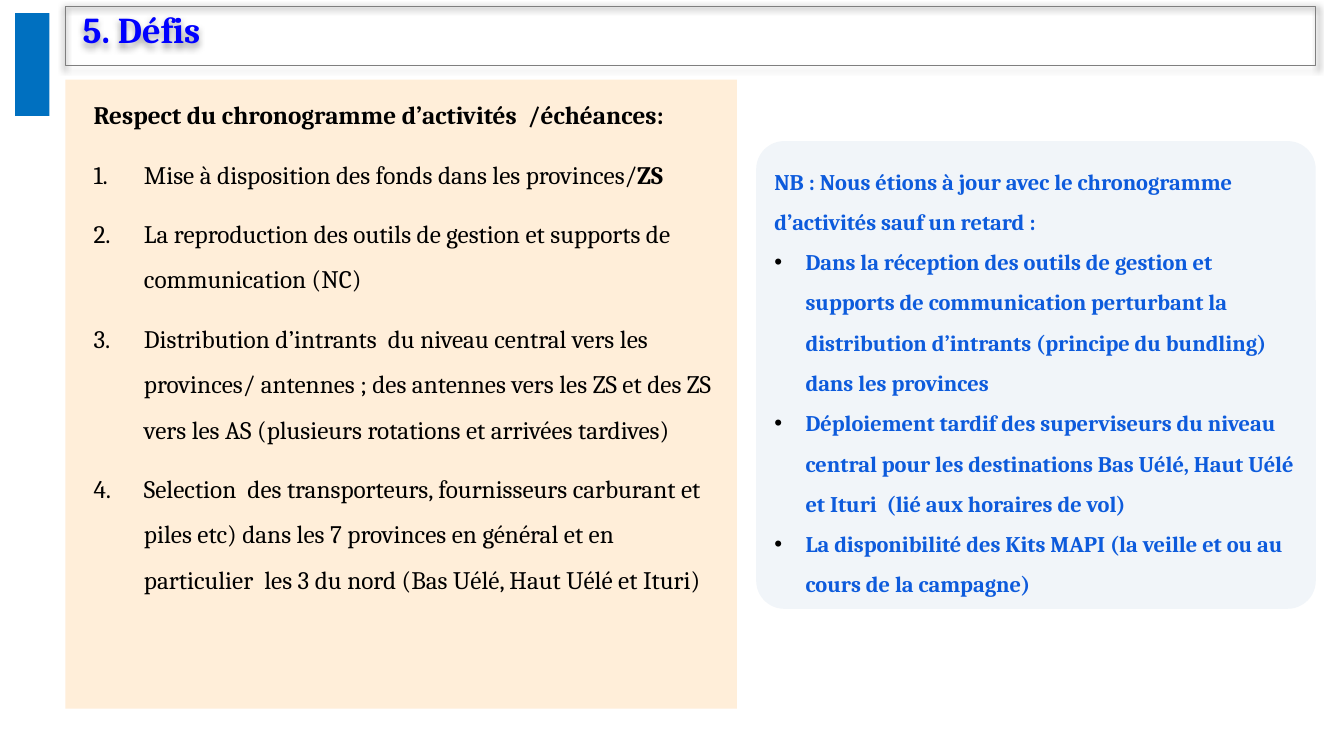
from lxml import etree
from pptx import Presentation
from pptx.dml.color import RGBColor
from pptx.enum.shapes import MSO_SHAPE
from pptx.enum.text import MSO_ANCHOR, PP_ALIGN
from pptx.oxml.ns import qn
from pptx.util import Pt

PX = 9144
RECT, ROUND = MSO_SHAPE.RECTANGLE, MSO_SHAPE.ROUNDED_RECTANGLE
TOP, MID, LEFT = MSO_ANCHOR.TOP, MSO_ANCHOR.MIDDLE, PP_ALIGN.LEFT

BLACK = RGBColor(0x00, 0x00, 0x00)
GREY = RGBColor(0x7F, 0x7F, 0x7F)
TITLE = RGBColor(0x00, 0x00, 0xFF)
BAR = RGBColor(0x00, 0x70, 0xC0)
CREAM = RGBColor(0xFF, 0xEE, 0xD9)
PALE = RGBColor(0xF1, 0xF5, 0xF9)
NOTE = RGBColor(0x0D, 0x5B, 0xDC)

NUMBER = ("buAutoNum", {"type": "arabicPeriod"})
DOT = ("buChar", {"char": "•"})

HEAD = "Respect du chronogramme d’activités  /échéances:"
TASKS = [
    [("Mise à disposition des fonds dans les provinces/", False), ("ZS", True)],
    [("La reproduction des outils de gestion et supports de communication (NC)", False)],
    [("Distribution d’intrants  du niveau central vers les provinces/ antennes ; "
      "des antennes vers les ZS et des ZS vers les AS "
      "(plusieurs rotations et arrivées tardives)", False)],
    [("Selection  des transporteurs, fournisseurs carburant et piles etc) "
      "dans les 7 provinces en général et en particulier  les 3 du nord "
      "(Bas Uélé, Haut Uélé et Ituri)", False)],
]
LEAD = "NB : Nous étions à jour avec le chronogramme d’activités sauf un retard :"
DELAYS = [
    "Dans la réception des outils de gestion et supports de communication "
    "perturbant la distribution d’intrants (principe du bundling) dans les provinces",
    "Déploiement tardif des superviseurs du niveau central pour les destinations "
    "Bas Uélé, Haut Uélé et Ituri  (lié aux horaires de vol)",
    "La disponibilité des Kits MAPI (la veille et ou au cours de la campagne)",
]


def put(target, values):
    """Set each named attribute on the target."""
    for name, value in values.items():
        setattr(target, name, value)


def add_node(parent, tag, values):
    """Append a drawing element with its attributes."""
    node = etree.SubElement(parent, qn("a:" + tag))
    for name, value in values.items():
        node.set(name, str(value))
    return node


def add_panel(slide, kind, box, fill=None, line=None):
    """Add a flat shape with an optional fill and outline."""
    panel = slide.shapes.add_shape(kind, *(side * PX for side in box))
    panel.shadow.inherit = False
    if fill is None:
        panel.fill.background()
    else:
        panel.fill.solid()
        panel.fill.fore_color.rgb = fill
    if line is None:
        panel.line.fill.background()
    else:
        panel.line.color.rgb = line
        panel.line.width = Pt(0.75)
    put(panel.text_frame, {"word_wrap": True, "vertical_anchor": TOP})
    return panel


def add_shadow(panel):
    """Give the panel a soft shadow falling downward."""
    effects = panel.element.spPr.find(qn("a:effectLst"))
    shadow = add_node(effects, "outerShdw", {
        "blurRad": Pt(5), "dist": Pt(1.6), "dir": 5400000,
        "algn": "t", "rotWithShape": 0})
    color = add_node(shadow, "srgbClr", {"val": BLACK})
    add_node(color, "alpha", {"val": 38000})


def add_text(frame, runs, size, color, space=1.5, gap=0, indent=(0, 0), mark=None):
    """Write one paragraph, with its list mark if any."""
    first = not frame.text
    para = frame.paragraphs[0] if first else frame.add_paragraph()
    props = para._p.get_or_add_pPr()
    left, hang = indent
    props.set("marL", str(left * PX))
    props.set("indent", str(hang * PX))
    if mark:
        add_node(add_node(props, "buClr", {}), "srgbClr", {"val": BLACK})
        if mark is DOT:
            add_node(props, "buFont", {"typeface": "Arial"})
        add_node(props, *mark)
    put(para, {"alignment": LEFT, "line_spacing": space,
               "space_before": Pt(0 if first else gap)})
    for text, bold in runs:
        run = para.add_run()
        run.text = text
        put(run.font, {"name": "Cambria", "size": Pt(size), "bold": bold})
        run.font.color.rgb = color


def add_title(slide):
    """Add the framed title and the bar beside it."""
    frame = add_panel(slide, RECT, (65, 6, 1240, 59), line=GREY)
    add_shadow(frame)
    put(frame.text_frame, {"vertical_anchor": MID, "margin_left": 17 * PX,
                           "margin_bottom": 11 * PX})
    add_text(frame.text_frame, [("5. Défis", True)], 26, TITLE, space=0.85)
    add_panel(slide, RECT, (15, 13, 34, 102), BAR)


def add_tasks(slide):
    """Add the numbered list of challenges."""
    frame = add_panel(slide, RECT, (65, 79, 666, 624), CREAM).text_frame
    add_text(frame, [(HEAD, True)], 18, BLACK, indent=(18, 0))
    for runs in TASKS:
        add_text(frame, runs, 18, BLACK, gap=10, indent=(68, -50), mark=NUMBER)


def add_note(slide):
    """Add the rounded note on delays."""
    panel = add_panel(slide, ROUND, (750, 140, 555, 464), PALE)
    panel.adjustments[0] = 0.06
    frame = panel.text_frame
    add_text(frame, [(LEAD, True)], 16, NOTE)
    for text in DELAYS:
        add_text(frame, [(text, True)], 16, NOTE, indent=(31, -31), mark=DOT)


def main():
    """Build the slide and save it."""
    deck = Presentation()
    put(deck, {"slide_width": 1333 * PX, "slide_height": 750 * PX})
    slide = deck.slides.add_slide(deck.slide_layouts[6])
    add_title(slide)
    add_tasks(slide)
    add_note(slide)
    deck.save("out.pptx")


if __name__ == "__main__":
    main()
